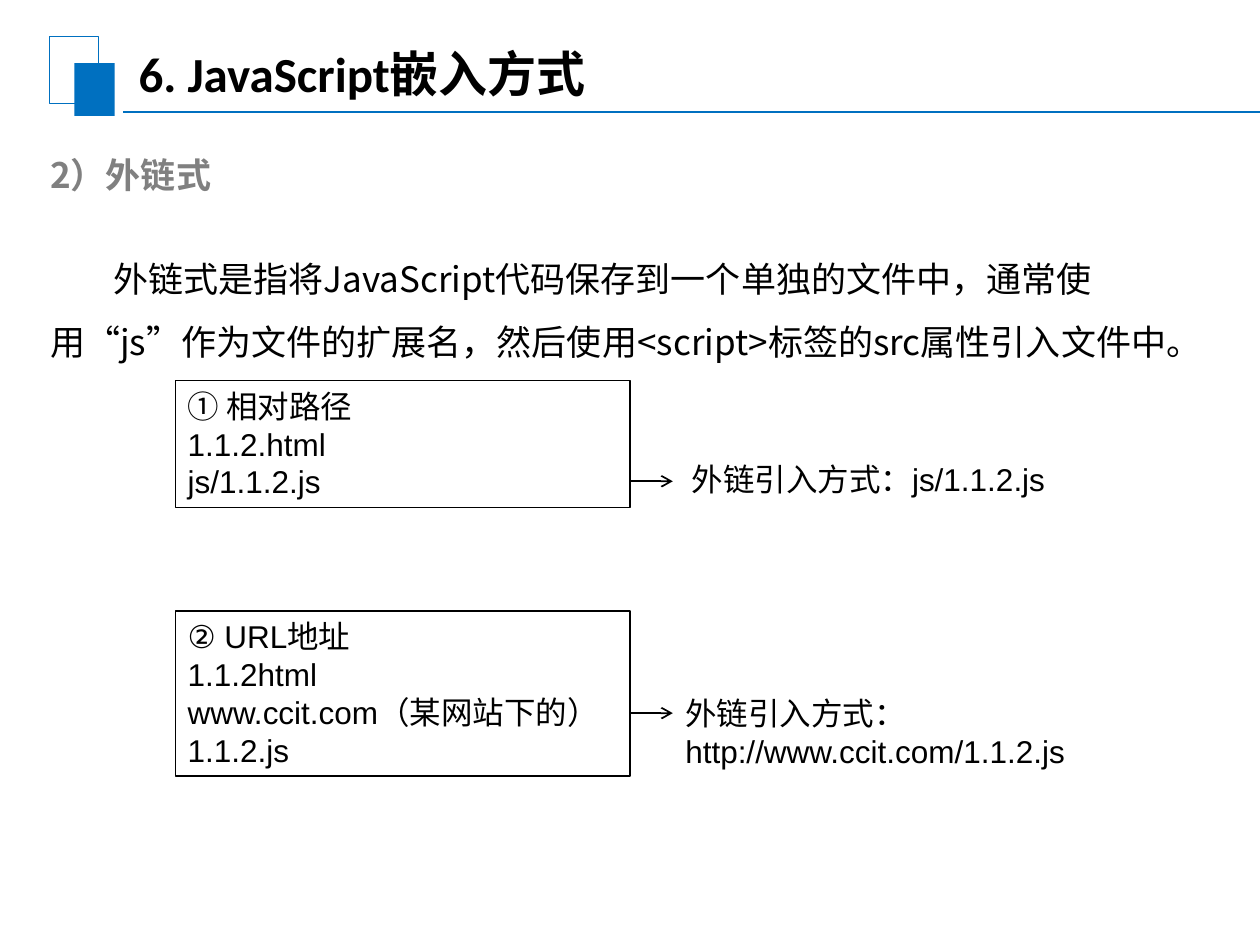
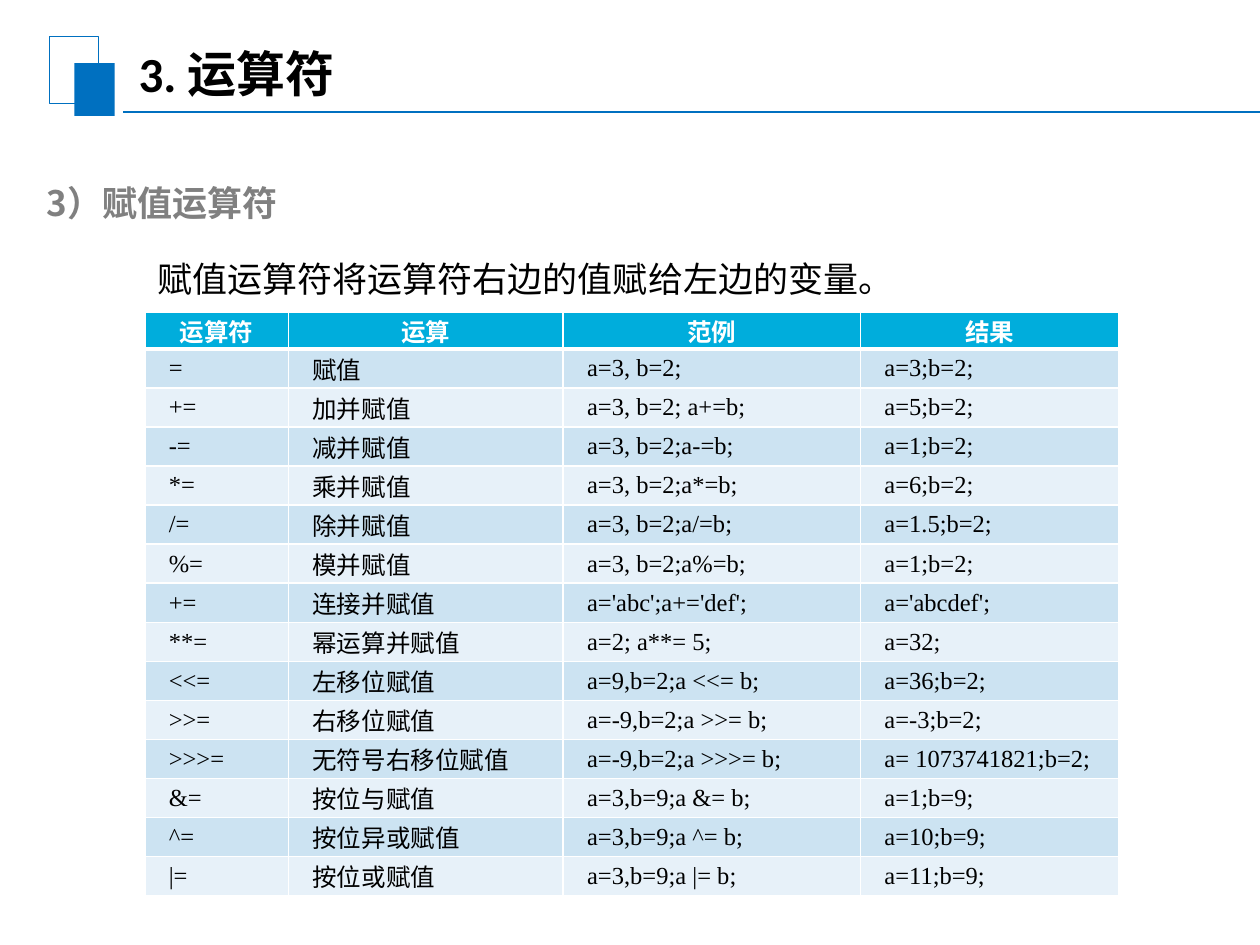
"""Builds two course slides: external scripts and assignment operators."""
from pptx import Presentation
from pptx.dml.color import RGBColor
from pptx.enum.shapes import MSO_CONNECTOR as LINK, MSO_SHAPE as SHAPE
from pptx.enum.text import MSO_ANCHOR as ANCHOR, PP_ALIGN as ALIGN
from pptx.oxml.ns import qn
from pptx.util import Emu, Inches, Pt
from lxml.etree import SubElement, Element

BLUE = RGBColor(0x00, 0x70, 0xC0)
CYAN = RGBColor(0x00, 0xAD, 0xDC)
GRAY = RGBColor(0x80, 0x80, 0x80)
BLACK = RGBColor(0x00, 0x00, 0x00)
WHITE = RGBColor(0xFF, 0xFF, 0xFF)
BANDS = RGBColor(0xCC, 0xE3, 0xF2), RGBColor(0xE7, 0xF1, 0xF9)
HAN, HEAD, SANS, SERIF = "Noto Sans CJK SC", "Calibri", "Arial", "Times New Roman"

EMBED = {
    "title": "6. JavaScript嵌入方式",
    "sub": "2）外链式",
    "body": "外链式是指将JavaScript代码保存到一个单独的文件中，通常使用“js”作为文件的扩展名，"
            "然后使用<script>标签的src属性引入文件中。",
}
PATHS = [
    {"top": 3.02, "high": 1.01, "arrow": 3.82, "note_at": (5.39, 3.6, 3.03, 0.71),
     "files": ["① 相对路径", "1.1.2.html", "js/1.1.2.js"],
     "note": ["外链引入方式：js/1.1.2.js"]},
    {"top": 4.85, "high": 1.31, "arrow": 5.66, "note_at": (5.34, 5.46, 3.25, 0.71),
     "files": ["② URL地址", "1.1.2html", "www.ccit.com（某网站下的）", "1.1.2.js"],
     "note": ["外链引入方式：", "http://www.ccit.com/1.1.2.js"]},
]
ASSIGN = {
    "title": "3. 运算符",
    "sub": "3）赋值运算符",
    "body": "赋值运算符将运算符右边的值赋给左边的变量。",
}
COLS = [("运算符", 1.14), ("运算", 2.18), ("范例", 2.36), ("结果", 2.05)]
ROWS = [
    ("=", "赋值", "a=3, b=2;", "a=3;b=2;"),
    ("+=", "加并赋值", "a=3, b=2; a+=b;", "a=5;b=2;"),
    ("-=", "减并赋值", "a=3, b=2;a-=b;", "a=1;b=2;"),
    ("*=", "乘并赋值", "a=3, b=2;a*=b;", "a=6;b=2;"),
    ("/=", "除并赋值", "a=3, b=2;a/=b;", "a=1.5;b=2;"),
    ("%=", "模并赋值", "a=3, b=2;a%=b;", "a=1;b=2;"),
    ("+=", "连接并赋值", "a='abc';a+='def';", "a='abcdef';"),
    ("**=", "幂运算并赋值", "a=2; a**= 5;", "a=32;"),
    ("<<=", "左移位赋值", "a=9,b=2;a <<= b;", "a=36;b=2;"),
    (">>=", "右移位赋值", "a=-9,b=2;a >>= b;", "a=-3;b=2;"),
    (">>>=", "无符号右移位赋值", "a=-9,b=2;a >>>= b;", "a= 1073741821;b=2;"),
    ("&=", "按位与赋值", "a=3,b=9;a &= b;", "a=1;b=9;"),
    ("^=", "按位异或赋值", "a=3,b=9;a ^= b;", "a=10;b=9;"),
    ("|=", "按位或赋值", "a=3,b=9;a |= b;", "a=11;b=9;"),
]
HEAD_HIGH, ROW_HIGH = 0.29, 0.31


def write(frame, lines, size, font, color=BLACK, bold=False, space=None,
          align=ALIGN.LEFT, left=0, first=0):
    for i, line in enumerate(lines):
        para = frame.paragraphs[0] if i == 0 else frame.add_paragraph()
        para.text = line
        para.alignment = align
        if space:
            para.line_spacing = space
        prop = para._p.get_or_add_pPr()
        prop.set("marL", str(Inches(left)))
        prop.set("indent", str(Inches(first)))
        face = para.font
        face.size, face.bold, face.name = Pt(size), bold, font
        face.color.rgb = color
        SubElement(prop.find(qn("a:defRPr")), qn("a:ea"), typeface=HAN)


def add_text(slide, spot, lines, size, font, **style):
    frame = slide.shapes.add_textbox(*map(Inches, spot)).text_frame
    frame.word_wrap = True
    write(frame, lines, size, font, **style)
    return frame


def add_box(slide, spot, fill=None, line=None):
    box = slide.shapes.add_shape(SHAPE.RECTANGLE, *map(Inches, spot))
    box.shadow.inherit = False
    if fill is None:
        box.fill.background()
    else:
        box.fill.solid()
        box.fill.fore_color.rgb = fill
    if line is None:
        box.line.fill.background()
    else:
        box.line.color.rgb = line
        box.line.width = Pt(0.75)
    return box


def add_line(slide, left, right, y, color, width, arrow=False):
    link = slide.shapes.add_connector(
        LINK.STRAIGHT, *map(Inches, (left, y, right, y)))
    link.line.color.rgb = color
    link.line.width = Pt(width)
    if arrow:
        SubElement(link.line._get_or_add_ln(), qn("a:tailEnd"), type="arrow")
    SubElement(link._element.spPr, qn("a:effectLst"))


def add_page(deck, title):
    slide = deck.slides.add_slide(deck.slide_layouts[6])
    add_box(slide, (0.39, 0.29, 0.39, 0.53), line=BLUE)
    add_box(slide, (0.59, 0.5, 0.32, 0.42), fill=BLUE)
    add_line(slide, 0.98, 10, 0.89, BLUE, 1.25)
    frame = add_text(slide, (0.97, 0.29, 4.75, 0.58), [title], 28, HEAD, bold=True)
    frame.vertical_anchor = ANCHOR.MIDDLE
    frame.margin_left = frame.margin_right = Inches(0.13)
    frame.margin_top = frame.margin_bottom = Inches(0.07)
    return slide


def add_sub(slide, left, top, text):
    add_text(slide, (left, top, 9.22, 0.44), [text], 20, HAN,
             color=GRAY, bold=True, left=0.5, first=-0.5)


def add_edges(cell, row):
    widths = {"L": 1, "R": 1, "T": 3 if row == 1 else 1, "B": 3 if row == 0 else 1}
    prop = cell._tc.get_or_add_tcPr()
    for i, (side, width) in enumerate(widths.items()):
        edge = Element(qn(f"a:ln{side}"), w=str(Pt(width)))
        fill = SubElement(edge, qn("a:solidFill"))
        SubElement(fill, qn("a:srgbClr"), val=str(WHITE))
        prop.insert(i, edge)


def add_grid(slide, left, top):
    names, widths = zip(*COLS)
    rows = [names, *ROWS]
    high = HEAD_HIGH + ROW_HIGH * len(ROWS)
    table = slide.shapes.add_table(
        len(rows), len(COLS), *map(Inches, (left, top, sum(widths), high))).table
    for col, width in zip(table.columns, widths):
        col.width = Inches(width)
    for r, texts in enumerate(rows):
        table.rows[r].height = Inches(ROW_HIGH if r else HEAD_HIGH)
        for c, text in enumerate(texts):
            cell = table.cell(r, c)
            cell.fill.solid()
            cell.fill.fore_color.rgb = BANDS[(r - 1) % 2] if r else CYAN
            cell.vertical_anchor = ANCHOR.MIDDLE
            cell.margin_left = cell.margin_right = Inches(0.07 if r else 0.08)
            cell.margin_top = cell.margin_bottom = Emu(0)
            if r:
                write(cell.text_frame, [text], 14, SERIF,
                      align=ALIGN.JUSTIFY, left=0.12)
            else:
                write(cell.text_frame, [text], 14, HEAD, color=WHITE,
                      bold=True, align=ALIGN.CENTER)
            add_edges(cell, r)


def add_embed(deck):
    slide = add_page(deck, EMBED["title"])
    add_sub(slide, 0.3, 1.17, EMBED["sub"])
    add_text(slide, (0.3, 1.83, 9.6, 1.11), [EMBED["body"]], 20, HAN,
             space=1.5, first=0.5)
    for item in PATHS:
        box = add_box(slide, (1.39, item["top"], 3.61, item["high"]), line=BLACK)
        box.text_frame.vertical_anchor = ANCHOR.TOP
        write(box.text_frame, item["files"], 18, SANS)
        add_line(slide, 5, 5.34, item["arrow"], BLACK, 1, arrow=True)
        add_text(slide, item["note_at"], item["note"], 18, SANS)


def add_assign(deck):
    slide = add_page(deck, ASSIGN["title"])
    add_sub(slide, 0.27, 1.39, ASSIGN["sub"])
    add_text(slide, (1.15, 1.66, 6.03, 0.67), [ASSIGN["body"]], 20, HAN, space=2.0)
    add_grid(slide, 1.15, 2.48)


def main():
    deck = Presentation()
    deck.slide_width, deck.slide_height = Inches(10), Inches(7.5)
    add_embed(deck)
    add_assign(deck)
    deck.save("out.pptx")


if __name__ == "__main__":
    main()
